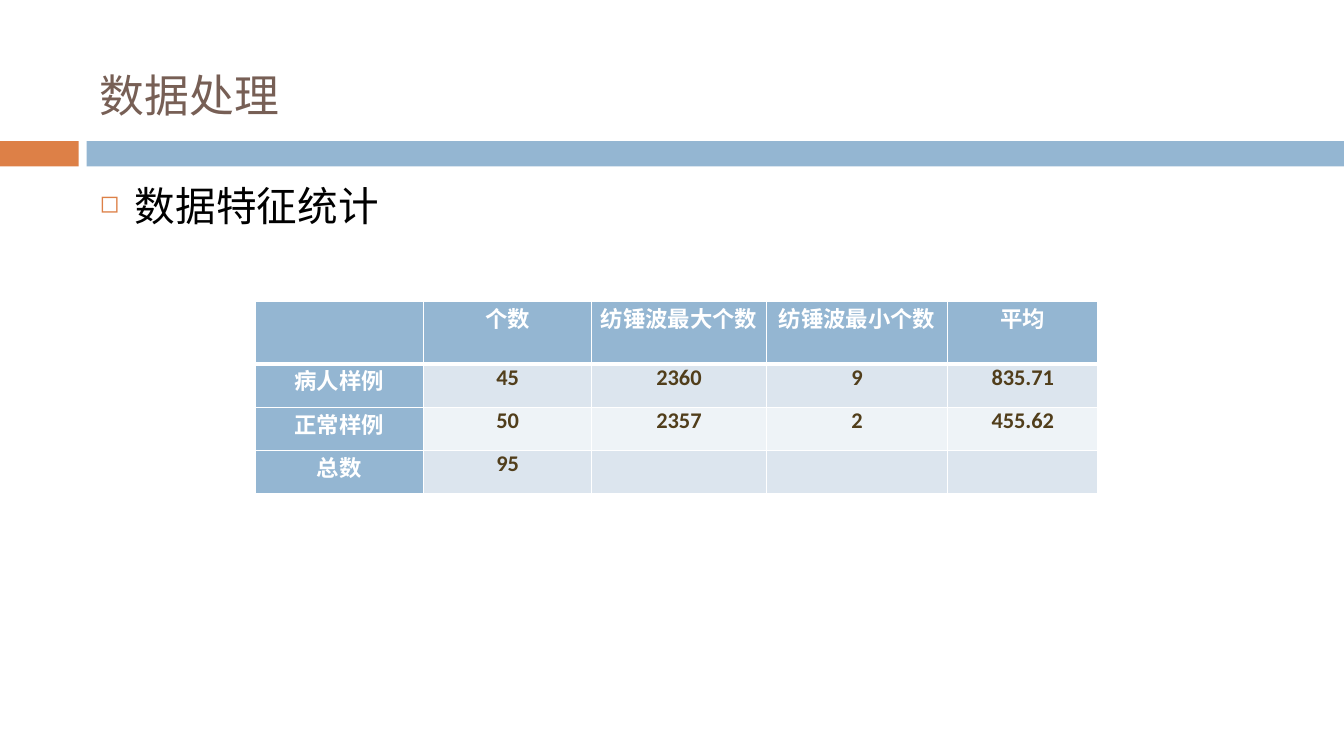
"""Builds the slide of data feature statistics."""
from lxml import etree
from pptx import Presentation
from pptx import util as u
from pptx.dml import color
from pptx.enum import shapes, text
from pptx.oxml import ns

BLUE, ORANGE, BROWN, WHITE = "94B6D2", "DD8047", "775F55", "FFFFFF"
BLACK, DARK = "000000", "513E1B"
BANDS = ("DCE5EE", "EEF3F7")
COLUMN_WIDTHS = (1.67, 1.67, 1.73, 1.8, 1.49)
ROW_HEIGHTS = (0.62, 0.43, 0.43, 0.43)
STATISTICS = (
    ("", "个数", "纺锤波最大个数", "纺锤波最小个数", "平均"),
    ("病人样例", "45", "2360", "9", "835.71"),
    ("正常样例", "50", "2357", "2", "455.62"),
    ("总数", "95", "", "", ""),
)


def paint(target, hex_color):
    """Give a fill a solid colour."""
    target.solid()
    target.fore_color.rgb = color.RGBColor.from_string(hex_color)


def set_all(target, values):
    """Set each named attribute on the target."""
    for name, value in values.items():
        setattr(target, name, value)


def add_element(parent, tag, **attributes):
    """Append a DrawingML element to the parent."""
    return etree.SubElement(parent, ns.qn(tag), attributes)


def write(paragraph, words, hex_color, size, bold=False):
    """Put one formatted run in a paragraph."""
    run = paragraph.add_run()
    run.text = words
    set_all(run.font, {"name": "Calibri", "size": u.Pt(size), "bold": bold})
    paint(run.font.fill, hex_color)


def add_bar(slide, left, width, hex_color):
    """Draw one part of the band below the title."""
    bar = slide.shapes.add_shape(
        shapes.MSO_SHAPE.RECTANGLE,
        u.Inches(left), u.Inches(1.4), u.Inches(width), u.Inches(0.25))
    bar.shadow.inherit = False
    paint(bar.fill, hex_color)
    bar.line.fill.background()


def add_text(slide, top, height, anchor, words, hex_color, size):
    """Add a line of text in the content column and return its paragraph."""
    box = slide.shapes.add_textbox(
        u.Inches(0.89), u.Inches(top), u.Inches(11.89), u.Inches(height))
    set_all(box.text_frame, {"word_wrap": True, "vertical_anchor": anchor})
    paragraph = box.text_frame.paragraphs[0]
    write(paragraph, words, hex_color, size)
    return paragraph


def add_bullet(paragraph):
    """Give a paragraph a small orange square with a hanging indent."""
    paragraph.space_before = u.Pt(7)
    properties = paragraph._p.get_or_add_pPr()
    indent = u.Inches(0.35)
    properties.set("marL", str(indent))
    properties.set("indent", str(-indent))
    bullet_color = add_element(properties, "a:buClr")
    add_element(bullet_color, "a:srgbClr", val=ORANGE)
    add_element(properties, "a:buSzPct", val="60000")
    add_element(properties, "a:buChar", char="◻")


def add_borders(cell, top, bottom):
    """Draw white cell borders with the given top and bottom widths."""
    properties = cell._tc.get_or_add_tcPr()
    for tag, width in (("a:lnL", 1), ("a:lnR", 1), ("a:lnT", top), ("a:lnB", bottom)):
        border = add_element(properties, tag, w=str(u.Pt(width)))
        add_element(add_element(border, "a:solidFill"), "a:srgbClr", val=WHITE)


def fill_cell(cell, row, column, words):
    """Format one cell by its place in the table."""
    heading = row == 0 or column == 0
    add_borders(cell, 3 if row == 1 else 1, 3 if row == 0 else 1)
    paint(cell.fill, BLUE if heading else BANDS[(row - 1) % 2])
    set_all(cell, {"margin_left": u.Inches(0.07), "margin_right": u.Inches(0.07),
                   "margin_top": 0, "margin_bottom": 0})
    paragraph = cell.text_frame.paragraphs[0]
    paragraph.alignment = text.PP_ALIGN.CENTER
    if words:
        write(paragraph, words, WHITE if heading else DARK, 16, True)


def add_statistics(slide):
    """Add the table of sample statistics."""
    table = slide.shapes.add_table(
        len(ROW_HEIGHTS), len(COLUMN_WIDTHS), u.Inches(2.53), u.Inches(2.99),
        u.Inches(sum(COLUMN_WIDTHS)), u.Inches(sum(ROW_HEIGHTS))).table
    for column, width in zip(table.columns, COLUMN_WIDTHS):
        column.width = u.Inches(width)
    for row, height in zip(table.rows, ROW_HEIGHTS):
        row.height = u.Inches(height)
    for r, values in enumerate(STATISTICS):
        for c, words in enumerate(values):
            fill_cell(table.cell(r, c), r, c, words)


def main():
    """Build and save the slide."""
    deck = Presentation()
    set_all(deck, {"slide_width": u.Inches(13.33), "slide_height": u.Inches(7.5)})
    slide = deck.slides.add_slide(deck.slide_layouts[6])
    add_bar(slide, 0, 0.78, ORANGE)
    add_bar(slide, 0.86, 12.47, BLUE)
    add_text(slide, 0.17, 1.08, text.MSO_ANCHOR.BOTTOM, "数据处理", BROWN, 32)
    topic = add_text(slide, 1.75, 5.07, text.MSO_ANCHOR.TOP, "数据特征统计", BLACK, 29)
    add_bullet(topic)
    add_statistics(slide)
    deck.save("out.pptx")


if __name__ == "__main__":
    main()
